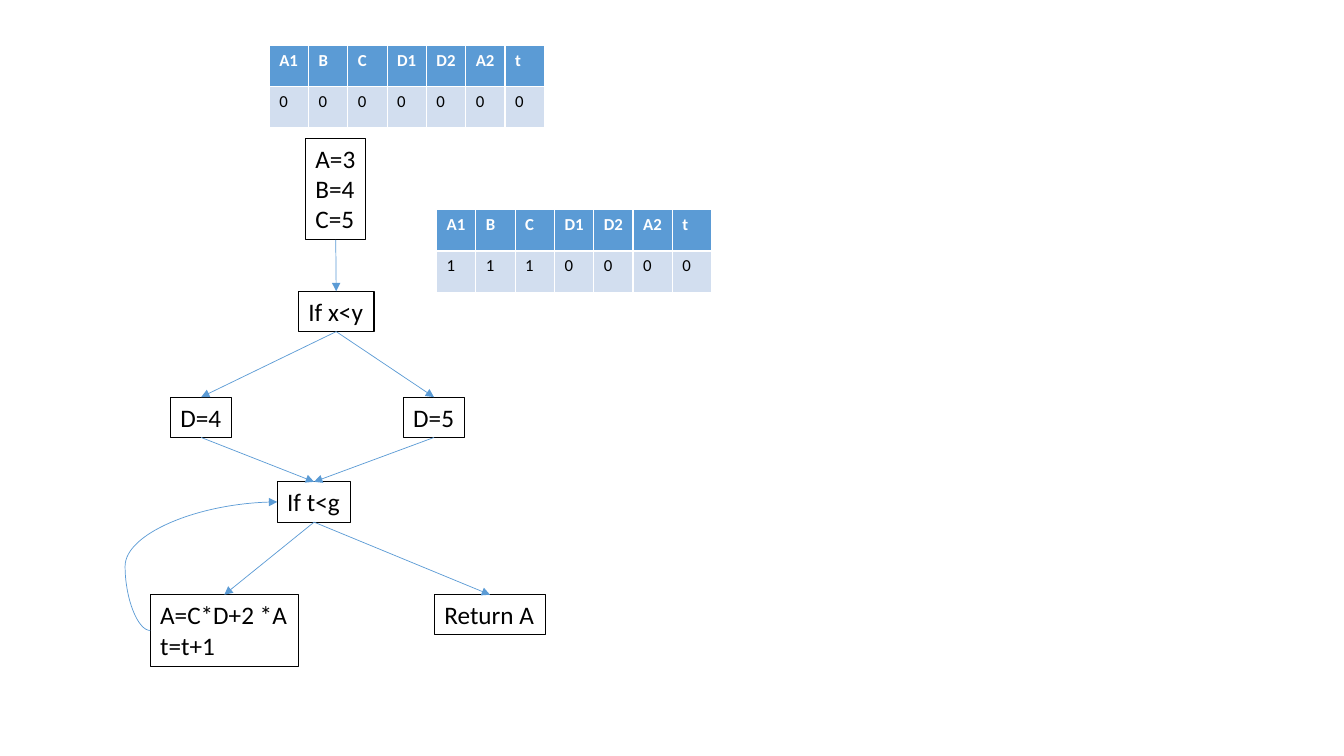
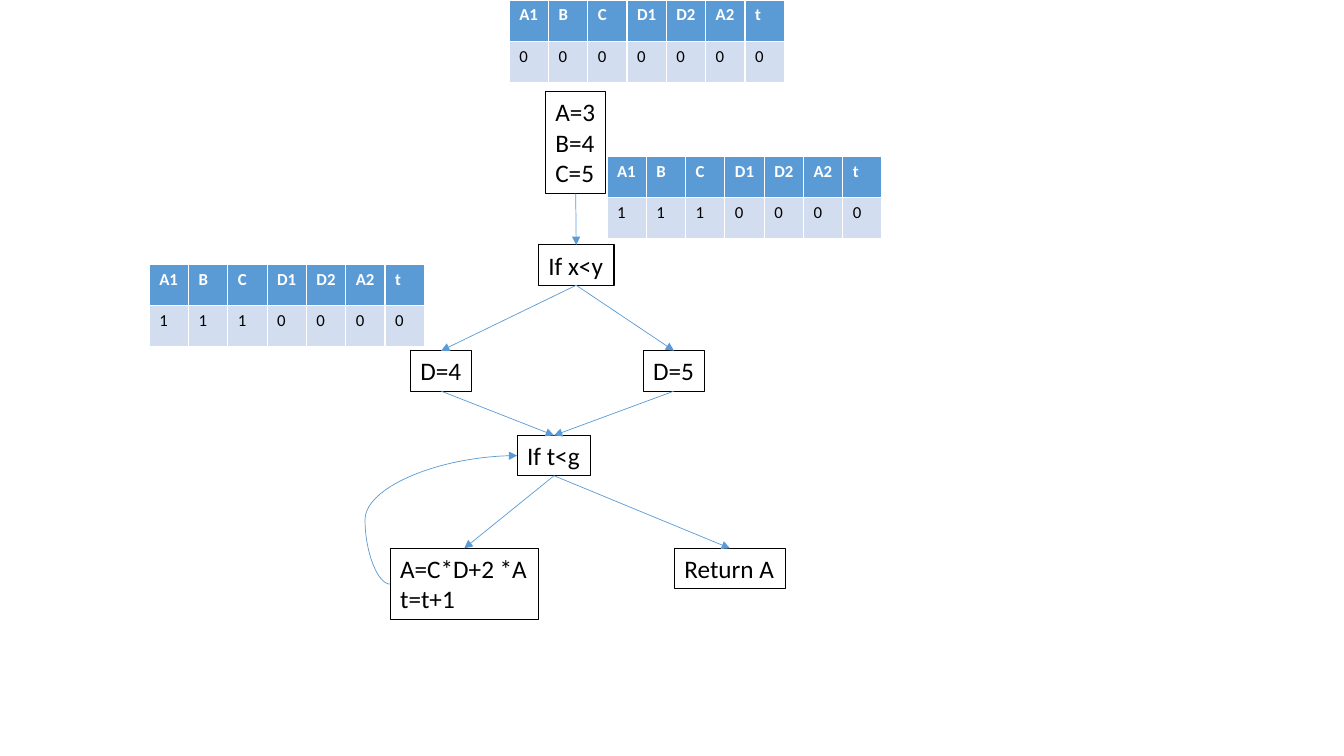
from lxml import etree
from pptx import Presentation
from pptx.dml.color import RGBColor
from pptx.enum.shapes import MSO_CONNECTOR
from pptx.enum.text import MSO_AUTO_SIZE
from pptx.oxml.ns import qn
from pptx.util import Inches, Pt

STRAIGHT, CURVE = MSO_CONNECTOR.STRAIGHT, MSO_CONNECTOR.CURVE
NO_SIZE, GROW = MSO_AUTO_SIZE.NONE, MSO_AUTO_SIZE.SHAPE_TO_FIT_TEXT
BLUE = RGBColor(0x5B, 0x9B, 0xD5)
PALE = RGBColor(0xD2, 0xDE, 0xEF)
BLACK = RGBColor(0, 0, 0)
WHITE = RGBColor(0xFF, 0xFF, 0xFF)
TOP, LEFT, BOTTOM = 0, 1, 2

NODES = {
    "init": (1.54, 0, 0.6, 1.01, "A=3\nB=4\nC=5"),
    "test": (1.47, 1.52, 0.75, 0.4, "If x<y"),
    "four": (0.2, 2.57, 0.61, 0.4, "D=4"),
    "five": (2.51, 2.57, 0.61, 0.4, "D=5"),
    "loop": (1.26, 3.41, 0.73, 0.4, "If t<g"),
    "step": (0, 4.53, 1.47, 0.71, "A=C*D+2 *A\nt=t+1"),
    "end": (2.82, 4.53, 1.1, 0.4, "Return A"),
}
EDGES = [("init", "test"), ("test", "four"), ("test", "five"),
         ("four", "loop"), ("five", "loop"), ("loop", "step"), ("loop", "end")]
HEADS = ["A1", "B", "C", "D1", "D2", "A2", "t"]
BEND = -19800
CELL_W, CELL_H = 0.39, 0.41

SLIDES = [
    {"flow": (1.49, 1.37),
     "states": [(2.67, 0.45, "0000000"), (4.33, 2.08, "1110000")]},
    {"flow": (3.87, 0.91),
     "states": [(5.05, 0, "0000000"), (6.02, 1.55, "1110000"),
                (1.48, 2.62, "1110000")]},
]


def style(text, size, color, bold=False):
    """Format every paragraph of a text frame."""
    look = {"name": "Calibri", "size": Pt(size), "bold": bold}
    for para in text.paragraphs:
        for key, value in look.items():
            setattr(para.font, key, value)
        para.font.color.rgb = color


def add_node(slide, left, top, width, height, words):
    """Place one outlined text box of the flow."""
    box = slide.shapes.add_textbox(
        Inches(left), Inches(top), Inches(width), Inches(height))
    box.line.color.rgb = BLACK
    box.line.width = Pt(0.75)
    frame = box.text_frame
    frame.text = words
    frame.word_wrap = False
    frame.auto_size = GROW
    style(frame, 18, BLACK)
    return box


def add_arrow(slide, kind, start, out, stop, into):
    """Join two nodes with a blue arrow."""
    line = slide.shapes.add_connector(kind, 0, 0, 0, 0)
    line.begin_connect(start, out)
    line.end_connect(stop, into)
    line.line.color.rgb = BLUE
    line.line.width = Pt(0.5)
    props = line._element.spPr
    etree.SubElement(props.find(qn("a:ln")), qn("a:tailEnd"), type="triangle")
    etree.SubElement(props, qn("a:effectLst"))
    return line


def add_flow(slide, left, top):
    """Draw the flow chart from its top left corner."""
    nodes = {name: add_node(slide, left + x, top + y, w, h, words)
             for name, (x, y, w, h, words) in NODES.items()}
    for start, stop in EDGES:
        add_arrow(slide, STRAIGHT, nodes[start], BOTTOM, nodes[stop], TOP)
    back = add_arrow(slide, CURVE, nodes["step"], LEFT, nodes["loop"], LEFT)
    shape = back._element.spPr.find(qn("a:prstGeom"))
    guides = shape.find(qn("a:avLst"))
    if guides is None:
        guides = etree.SubElement(shape, qn("a:avLst"))
    etree.SubElement(guides, qn("a:gd"), name="adj1", fmla=f"val {BEND}")


def add_state(slide, left, top, bits):
    """Place a table of variables and their bits."""
    table = slide.shapes.add_table(
        2, len(HEADS), Inches(left), Inches(top),
        Inches(CELL_W * len(HEADS)), Inches(CELL_H * 2)).table
    rows = [(HEADS, BLUE, WHITE, True), (bits, PALE, BLACK, False)]
    for r, (words, fill, color, bold) in enumerate(rows):
        table.rows[r].height = Inches(CELL_H)
        for c, word in enumerate(words):
            table.columns[c].width = Inches(CELL_W)
            cell = table.cell(r, c)
            cell.text = word
            cell.fill.solid()
            cell.fill.fore_color.rgb = fill
            style(cell.text_frame, 12, color, bold)


def main():
    """Build and save the slides."""
    deck = Presentation()
    deck.slide_width, deck.slide_height = Inches(13.33), Inches(7.5)
    for plan in SLIDES:
        slide = deck.slides.add_slide(deck.slide_layouts[6])
        add_flow(slide, *plan["flow"])
        for state in plan["states"]:
            add_state(slide, *state)
    deck.save("out.pptx")


if __name__ == "__main__":
    main()
